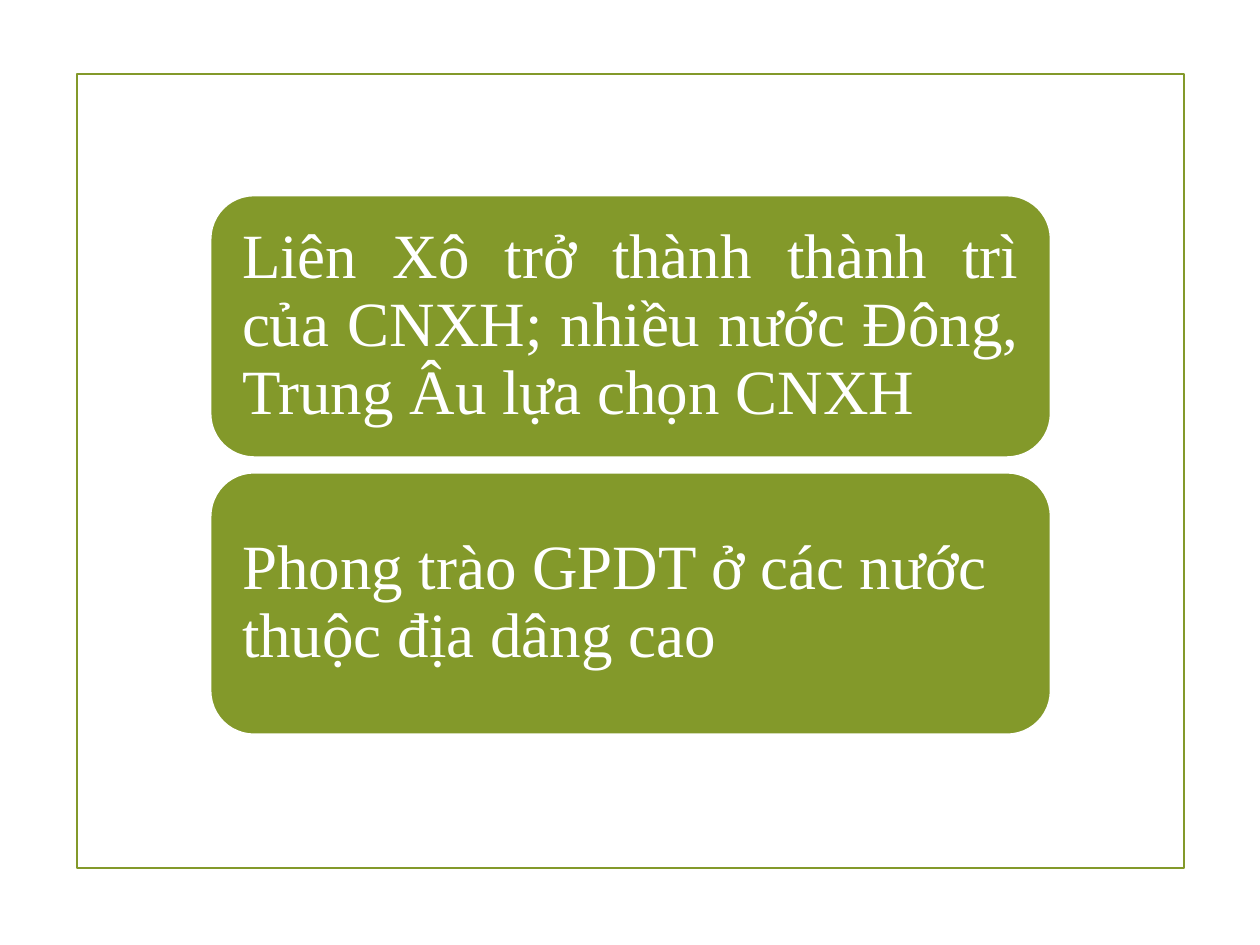
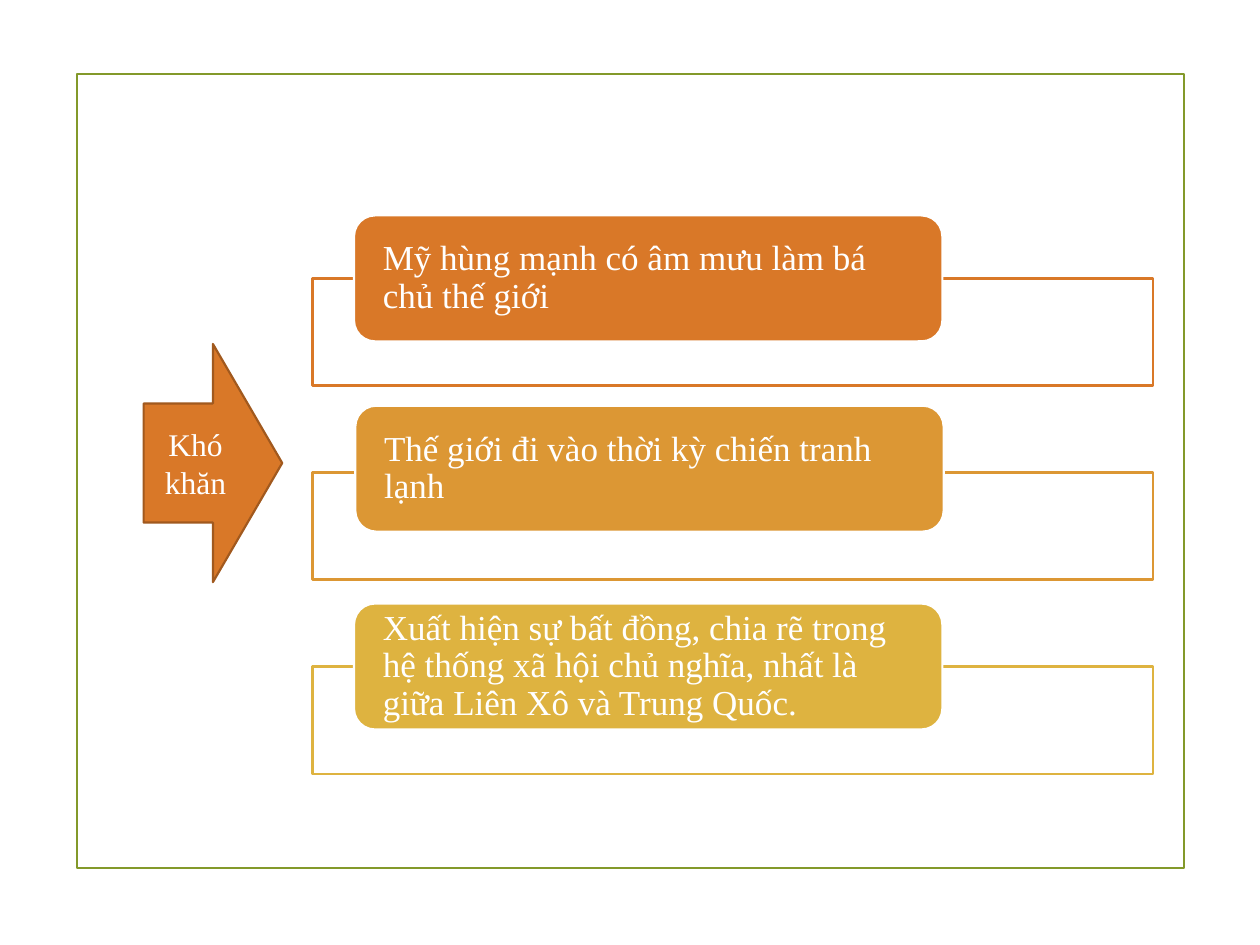
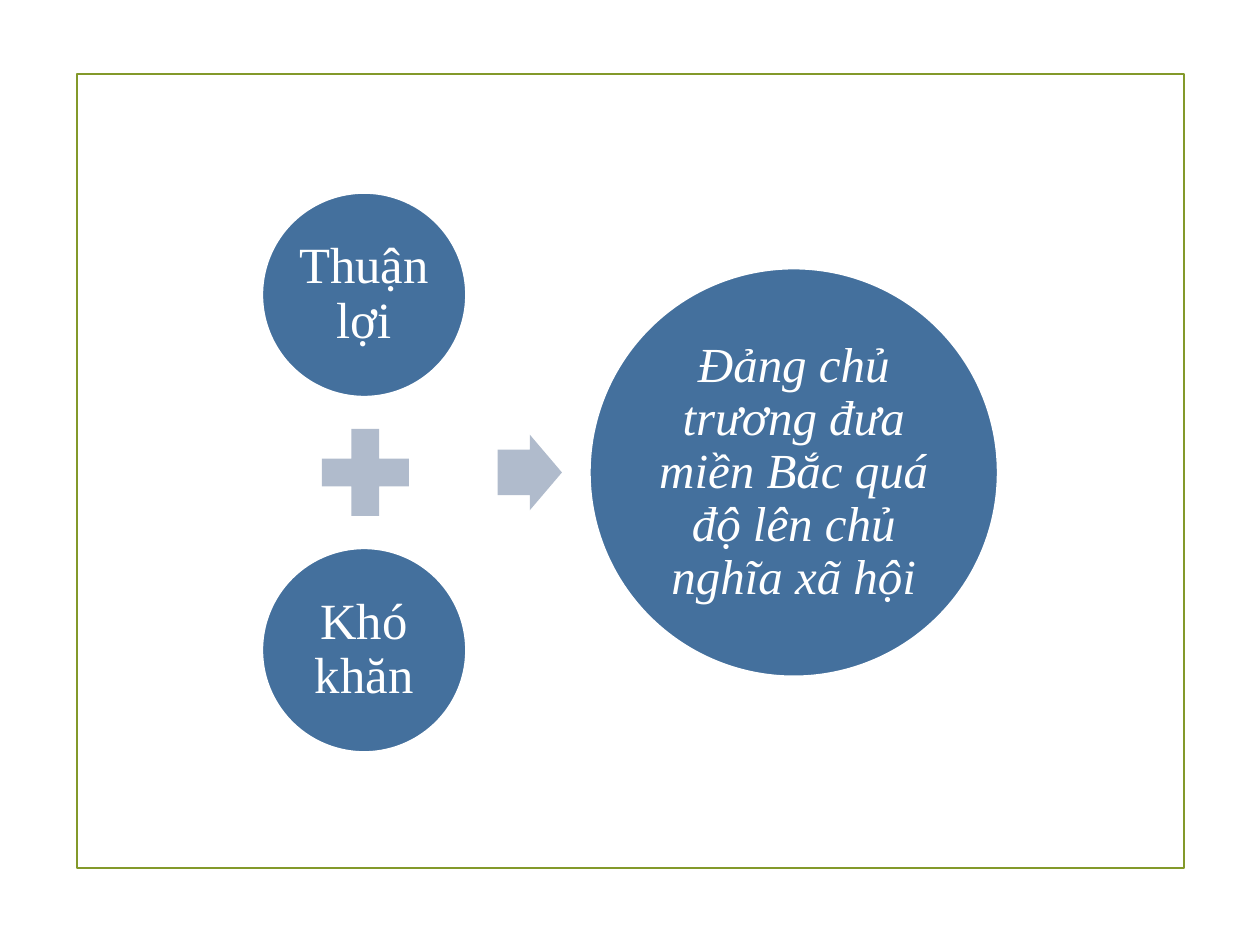
from lxml.etree import SubElement
from pptx import Presentation
from pptx.dml.color import RGBColor
from pptx.enum.shapes import MSO_SHAPE as Form
from pptx.enum.text import MSO_ANCHOR as Anchor, PP_ALIGN as Align
from pptx.oxml.ns import qn
from pptx.util import Inches, Pt

FONT = "Times New Roman"
WHITE, GREEN, ORANGE, BROWN = "FFFFFF", "83992A", "D97828", "A1591E"
BLUE, GRAY = "44709D", "B0BBCC"

GAINS = [
    ("Liên Xô trở thành thành trì của CNXH; nhiều nước Đông, Trung Âu lựa chọn CNXH", Align.JUSTIFY),
    ("Phong trào GPDT ở các nước thuộc địa dâng cao", Align.LEFT),
]
RISKS = [
    ("Mỹ hùng mạnh có âm mưu làm bá chủ thế giới", ORANGE, 2.81, 1.71),
    ("Thế giới đi vào thời kỳ chiến tranh lạnh", "DC9734", 2.82, 3.22),
    ("Xuất hiện sự bất đồng, chia rẽ trong hệ thống xã hội chủ nghĩa, "
     "nhất là giữa Liên Xô và Trung Quốc.", "DEB340", 2.81, 4.79),
]
HARD = "Khó khăn"
CAUSES = ["Thuận lợi", HARD]
RESULT = "Đảng chủ trương đưa miền Bắc quá độ lên chủ nghĩa xã hội"


def color(code):
    return RGBColor.from_string(code)


def draw(slide, form, box, fill=None, line=WHITE):
    shape = slide.shapes.add_shape(form, *map(Inches, box))
    shape.shadow.inherit = False
    if fill:
        shape.fill.solid()
        shape.fill.fore_color.rgb = color(fill)
    else:
        shape.fill.background()
    if line:
        shape.line.color.rgb = color(line)
        shape.line.width = Pt(1.25)
    else:
        shape.line.fill.background()
    return shape


def write(shape, text, size, align=Align.CENTER, pad=(0.04, 0.04), space=0.9, italic=False):
    frame = shape.text_frame
    frame.text = text
    frame.word_wrap = True
    frame.vertical_anchor = Anchor.MIDDLE
    frame.margin_left = frame.margin_right = Inches(pad[0])
    frame.margin_top = frame.margin_bottom = Inches(pad[1])
    para = frame.paragraphs[0]
    para.alignment = align
    para.line_spacing = space
    font = para.runs[0].font
    font.name, font.size, font.italic = FONT, Pt(size), italic
    font.color.rgb = color(WHITE)


def fade(shape, share):
    tone = shape.fill._xPr.find(qn("a:solidFill"))[0]
    SubElement(tone, qn("a:alpha")).set("val", str(share * 1000))


def start(deck):
    slide = deck.slides.add_slide(deck.slide_layouts[6])
    draw(slide, Form.RECTANGLE, (0.61, 0.59, 8.79, 6.3), line=GREEN)
    return slide


def show_gains(slide):
    for row, (text, align) in enumerate(GAINS):
        box = (1.67, 1.55 + 2.2 * row, 6.67, 2.08)
        card = draw(slide, Form.ROUNDED_RECTANGLE, box, GREEN)
        write(card, text, 36, align, (0.15, 0.15))


def show_risks(slide):
    for row, (text, tone, left, top) in enumerate(RISKS):
        bar = draw(slide, Form.RECTANGLE, (2.48, 2.21 + 1.54 * row, 6.67, 0.85), WHITE, tone)
        fade(bar, 90)
        card = draw(slide, Form.ROUNDED_RECTANGLE, (left, top, 4.67, 1), tone)
        write(card, text, 20, Align.LEFT, (0.18, 0))
    arrow = draw(slide, Form.RIGHT_ARROW, (1.14, 2.73, 1.1, 1.89), ORANGE, BROWN)
    write(arrow, HARD, 18, pad=(0.1, 0.05), space=1.0)


def show_result(slide):
    for row, text in enumerate(CAUSES):
        disc = draw(slide, Form.OVAL, (2.08, 1.53 + 2.82 * row, 1.62, 1.62), BLUE)
        write(disc, text, 29)
    draw(slide, Form.MATH_PLUS, (2.43, 3.28, 0.94, 0.94), GRAY, None)
    arrow = draw(slide, Form.RIGHT_ARROW, (3.95, 3.45, 0.51, 0.6), GRAY, None)
    arrow.adjustments[0] = 0.6
    disc = draw(slide, Form.OVAL, (4.68, 2.13, 3.24, 3.24), BLUE)
    write(disc, RESULT, 28, italic=True)


def main():
    deck = Presentation()
    deck.slide_width, deck.slide_height = Inches(10), Inches(7.5)
    for show in (show_gains, show_risks, show_result):
        show(start(deck))
    deck.save("out.pptx")


if __name__ == "__main__":
    main()
